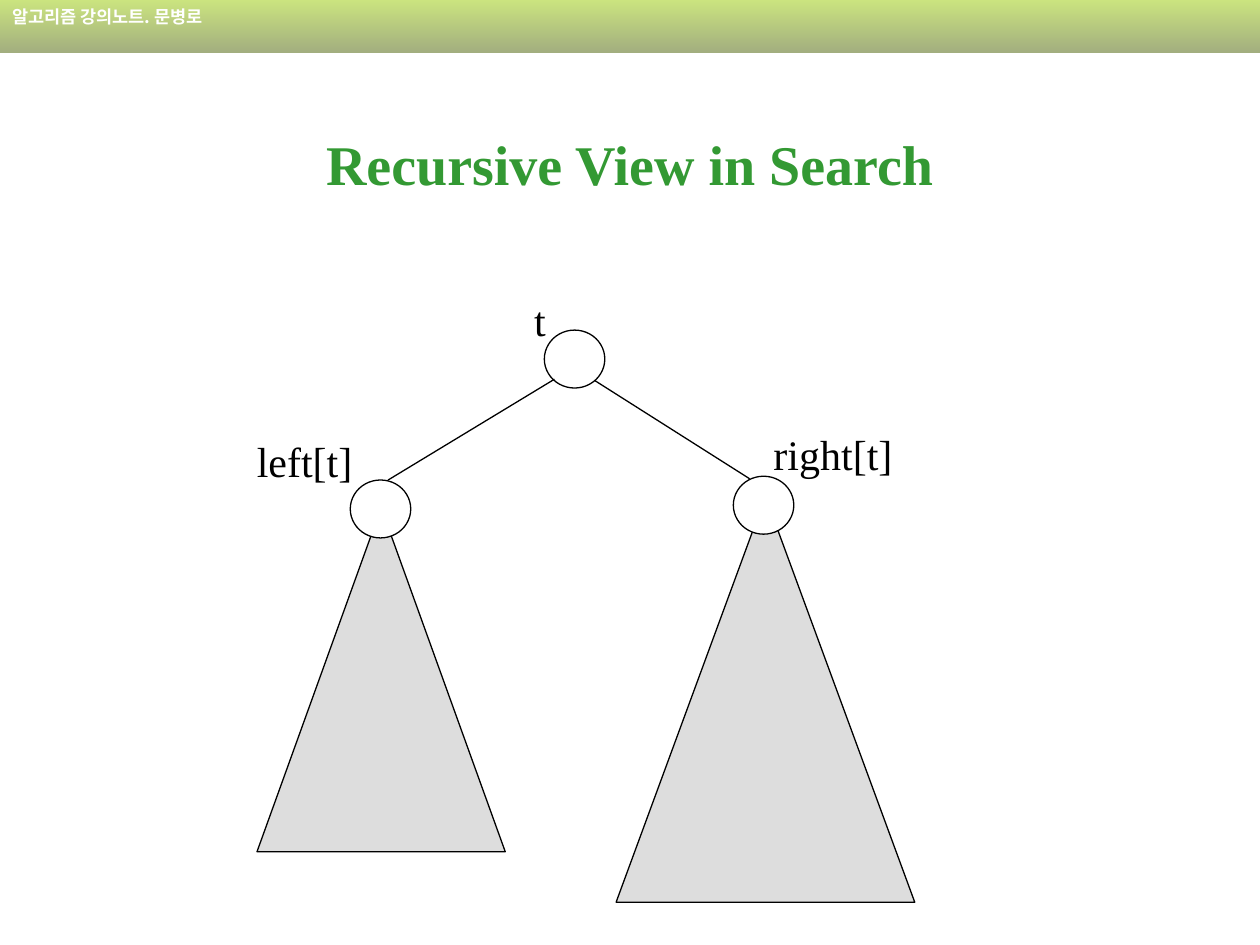
from dataclasses import dataclass
from typing import Optional

import pptx
import pptx.dml.color
import pptx.enum.shapes
import pptx.enum.text
import pptx.oxml.ns
import pptx.util
from lxml import etree

Pt = pptx.util.Pt
RGBColor = pptx.dml.color.RGBColor
MSO_SHAPE = pptx.enum.shapes.MSO_SHAPE
MSO_ANCHOR = pptx.enum.text.MSO_ANCHOR
PP_ALIGN = pptx.enum.text.PP_ALIGN
qn = pptx.oxml.ns.qn

BLACK = RGBColor(0x00, 0x00, 0x00)
WHITE = RGBColor(0xFF, 0xFF, 0xFF)
GRAY = RGBColor(0xDD, 0xDD, 0xDD)
GREEN = RGBColor(0x33, 0x99, 0x33)
LIME = RGBColor(0x99, 0xCC, 0x00)
OLIVE = RGBColor(0x47, 0x5E, 0x00)

SERIF = "Times New Roman"
KOREAN = "Noto Sans CJK KR"
LINE_WIDTH = 0.75
NODE_W, NODE_H = 34.56, 33.12
LABEL_H = 36


@dataclass
class Node:
    left: float
    top: float
    fill: Optional[RGBColor] = WHITE


@dataclass
class Subtree:
    left: float
    top: float
    width: float
    height: float


@dataclass
class Edge:
    x1: float
    y1: float
    x2: float
    y2: float


@dataclass
class Label:
    text: str
    left: float
    top: float
    width: float


ROOT = Node(311.04, 188.64, None)
CHILDREN = [Node(200.16, 274.32), Node(419.04, 272.16)]
SUBTREES = [
    Subtree(146.88, 290.16, 141.84, 196.56),
    Subtree(352.08, 283.68, 170.64, 231.84),
]
EDGES = [
    Edge(316.8, 216.72, 221.76, 274.32),
    Edge(339.84, 217.44, 428.4, 273.6),
]
LABELS = [
    Label("t", 298.08, 164.88, 21.5),
    Label("left[t]", 139.68, 245.52, 70),
    Label("right[t]", 434.88, 241.2, 84),
]


def write(sp, text: str, font: str, size: float, color: RGBColor,
          bold: bool = False, align=PP_ALIGN.LEFT, anchor=MSO_ANCHOR.TOP,
          wrap: bool = True) -> None:
    tf = sp.text_frame
    tf.text = text
    tf.word_wrap = wrap
    tf.vertical_anchor = anchor
    p = tf.paragraphs[0]
    p.alignment = align
    r = p.runs[0]
    r.font.name, r.font.size, r.font.bold = font, Pt(size), bold
    r.font.color.rgb = color
    # East Asian characters take their own typeface
    etree.SubElement(r.font._element, qn("a:ea"), typeface=font)


def draw_shape(s, kind, left: float, top: float, width: float, height: float,
               fill: Optional[RGBColor]) -> None:
    sp = s.shapes.add_shape(kind, Pt(left), Pt(top), Pt(width), Pt(height))
    sp.shadow.inherit = False
    if fill is None:
        sp.fill.background()
    else:
        sp.fill.solid()
        sp.fill.fore_color.rgb = fill
    sp.line.color.rgb = BLACK
    sp.line.width = Pt(LINE_WIDTH)


def draw_node(s, node: Node) -> None:
    draw_shape(s, MSO_SHAPE.OVAL, node.left, node.top, NODE_W, NODE_H, node.fill)


def draw_subtree(s, tree: Subtree) -> None:
    draw_shape(s, MSO_SHAPE.ISOSCELES_TRIANGLE, tree.left, tree.top,
               tree.width, tree.height, GRAY)


def draw_edge(s, edge: Edge) -> None:
    cx = s.shapes.add_connector(pptx.enum.shapes.MSO_CONNECTOR.STRAIGHT,
                                Pt(edge.x1), Pt(edge.y1), Pt(edge.x2), Pt(edge.y2))
    cx.line.color.rgb = BLACK
    cx.line.width = Pt(LINE_WIDTH)
    etree.SubElement(cx._element.spPr, qn("a:effectLst"))


def draw_label(s, label: Label) -> None:
    tb = s.shapes.add_textbox(Pt(label.left), Pt(label.top),
                              Pt(label.width), Pt(LABEL_H))
    write(tb, label.text, SERIF, 24, BLACK, wrap=False)
    tb.text_frame.auto_size = pptx.enum.text.MSO_AUTO_SIZE.SHAPE_TO_FIT_TEXT


def draw_header(s) -> None:
    sp = s.shapes.add_shape(MSO_SHAPE.RECTANGLE, 0, 0, Pt(720), Pt(30.24))
    sp.shadow.inherit = False
    sp.line.fill.background()
    sp.fill.gradient()
    sp.fill.gradient_angle = 270
    for stop, color in zip(sp.fill.gradient_stops, (LIME, OLIVE)):
        stop.color.rgb = color
    # Half-transparent gradient stops
    for clr in sp._element.spPr.iter(qn("a:srgbClr")):
        etree.SubElement(clr, qn("a:alpha"), val="50000")
    write(sp, "알고리즘 강의노트. 문병로", KOREAN, 10, WHITE, bold=True)


def main() -> None:
    prs = pptx.Presentation()
    prs.slide_width, prs.slide_height = Pt(720), Pt(540)
    s = prs.slides.add_slide(prs.slide_layouts[6])

    # Header band
    draw_header(s)

    # Tree: root, subtrees, child nodes, edges and labels
    draw_node(s, ROOT)
    for tree in SUBTREES:
        draw_subtree(s, tree)
    for node in CHILDREN:
        draw_node(s, node)
    for edge in EDGES:
        draw_edge(s, edge)
    for label in LABELS:
        draw_label(s, label)

    # Title
    title = s.shapes.add_textbox(Pt(54), Pt(48.24), Pt(612), Pt(90))
    write(title, "Recursive View in Search", SERIF, 32, GREEN, bold=True,
          align=PP_ALIGN.CENTER, anchor=MSO_ANCHOR.MIDDLE)

    prs.save("out.pptx")


if __name__ == "__main__":
    main()
